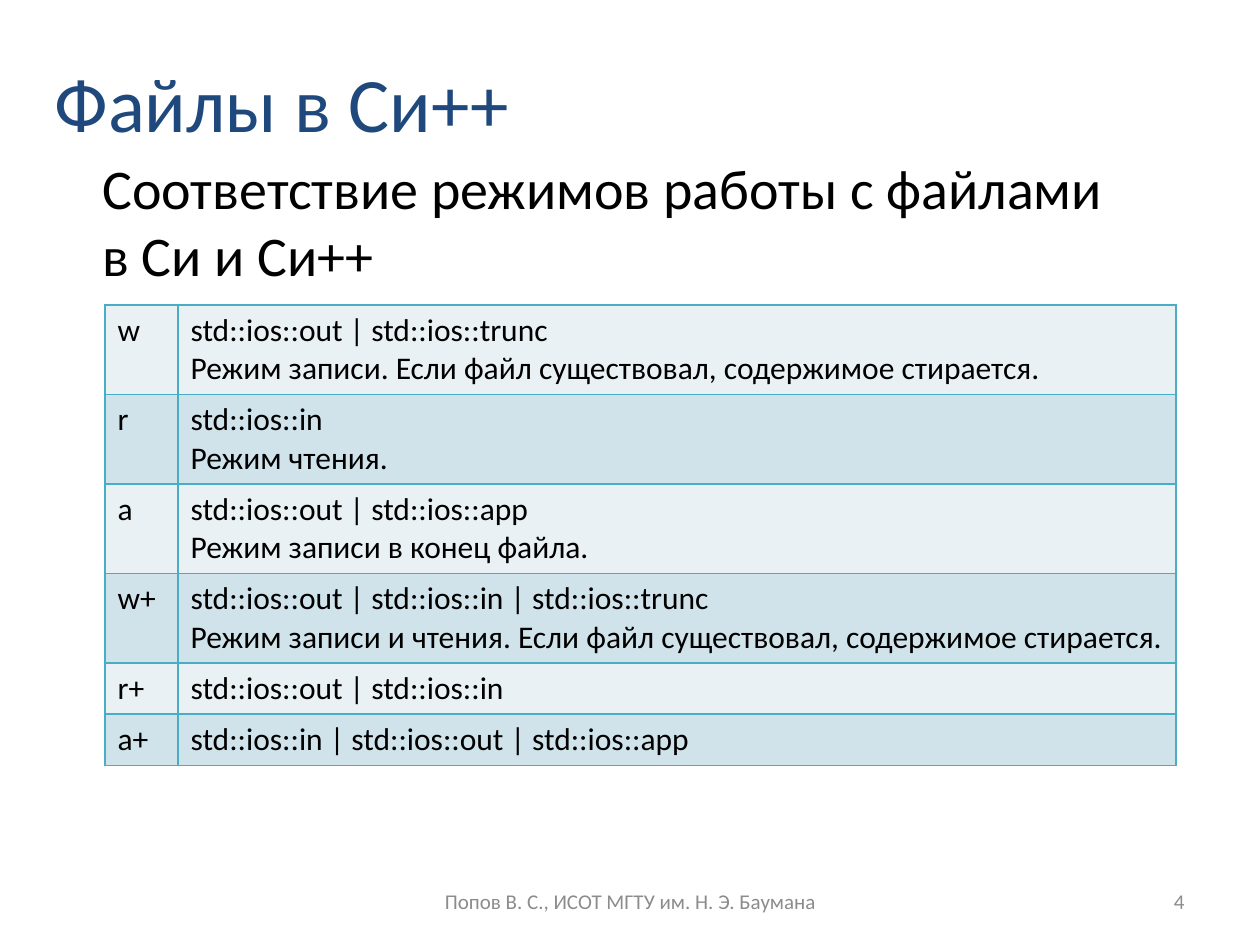
"""Build the slide that matches C file modes with C++ stream modes."""
import pptx
import pptx.dml.color
import pptx.enum.text
import pptx.oxml
import pptx.oxml.ns
import pptx.util
import lxml.etree

ALIGN = pptx.enum.text.PP_ALIGN
ANCHOR = pptx.enum.text.MSO_ANCHOR
FONT = "Calibri"
COLORS = {
    "title": "1F497D",
    "text": "000000",
    "footer": "8C8C8C",
    "border": "4BACC6",
    "light_row": "E9F1F5",
    "dark_row": "D0E3EA",
}

TEXTS = [
    {"text": "4", "box": (903, 876, 294, 50), "size": 12, "color": "footer",
     "align": ALIGN.RIGHT, "anchor": ANCHOR.MIDDLE},
    {"text": "Попов В. С., ИСОТ МГТУ им. Н. Э. Баумана", "box": (431, 876, 399, 50),
     "size": 12, "color": "footer", "align": ALIGN.CENTER, "anchor": ANCHOR.MIDDLE},
    {"text": "Файлы в Си++", "box": (42, 0, 1029, 203), "size": 44, "color": "title",
     "align": ALIGN.LEFT, "anchor": ANCHOR.MIDDLE},
    {"text": "Соответствие режимов работы с файлами\vв Си и Си++",
     "box": (42, 147, 1176, 149), "size": 32, "color": "text",
     "align": ALIGN.LEFT, "anchor": ANCHOR.TOP, "indent": 48},
]

MODES = [
    ("w", "std::ios::out | std::ios::trunc\n"
          "Режим записи. Если файл существовал, содержимое стирается."),
    ("r", "std::ios::in\nРежим чтения."),
    ("a", "std::ios::out | std::ios::app\nРежим записи в конец файла."),
    ("w+", "std::ios::out | std::ios::in | std::ios::trunc\n"
           "Режим записи и чтения. Если файл существовал, содержимое стирается."),
    ("r+", "std::ios::out | std::ios::in"),
    ("a+", "std::ios::in | std::ios::out | std::ios::app"),
]
TABLE_LEFT, TABLE_TOP = 105, 305
COLUMN_WIDTHS = (73, 998)
ROW_HEIGHTS = {1: 51, 2: 89}


def px(pixels):
    return pptx.util.Emu(round(pixels * 914400 / 126))


def rgb(name):
    return pptx.dml.color.RGBColor.from_string(COLORS[name])


def format_text(text_frame, size, color, align=ALIGN.LEFT):
    for paragraph in text_frame.paragraphs:
        paragraph.alignment = align
        for run in paragraph.runs:
            run.font.name = FONT
            run.font.size = pptx.util.Pt(size)
            run.font.color.rgb = rgb(color)


def add_text(slide, item):
    text_frame = slide.shapes.add_textbox(*map(px, item["box"])).text_frame
    text_frame.word_wrap = True
    text_frame.vertical_anchor = item["anchor"]
    text_frame.text = item["text"]
    format_text(text_frame, item["size"], item["color"], item["align"])
    if "indent" in item:
        properties = text_frame.paragraphs[0]._p.get_or_add_pPr()
        properties.set("marL", str(px(item["indent"])))
        properties.set("indent", "0")


def add_borders(cell):
    properties = cell._tc.get_or_add_tcPr()
    for position, side in enumerate(("lnL", "lnR", "lnT", "lnB")):
        line = lxml.etree.Element(pptx.oxml.ns.qn("a:" + side), w=str(pptx.util.Pt(1)))
        fill = lxml.etree.SubElement(line, pptx.oxml.ns.qn("a:solidFill"))
        lxml.etree.SubElement(fill, pptx.oxml.ns.qn("a:srgbClr"), val=COLORS["border"])
        properties.insert(position, line)


def add_modes_table(slide):
    heights = [ROW_HEIGHTS[description.count("\n") + 1] for mode, description in MODES]
    frame = slide.shapes.add_table(
        len(MODES), len(COLUMN_WIDTHS), px(TABLE_LEFT), px(TABLE_TOP),
        px(sum(COLUMN_WIDTHS)), px(sum(heights)))
    table = frame.table
    table.first_row = False
    for column, width in zip(table.columns, COLUMN_WIDTHS):
        column.width = px(width)
    for index, (row, height, texts) in enumerate(zip(table.rows, heights, MODES)):
        row.height = px(height)
        for cell, text in zip(row.cells, texts):
            cell.text_frame.text = text
            format_text(cell.text_frame, 18, "text")
            cell.fill.solid()
            cell.fill.fore_color.rgb = rgb("dark_row" if index % 2 else "light_row")
            add_borders(cell)


presentation = pptx.Presentation()
presentation.slide_width, presentation.slide_height = px(1260), px(945)
slide = presentation.slides.add_slide(presentation.slide_layouts[6])
add_modes_table(slide)
for item in TEXTS:
    add_text(slide, item)
presentation.save("out.pptx")
